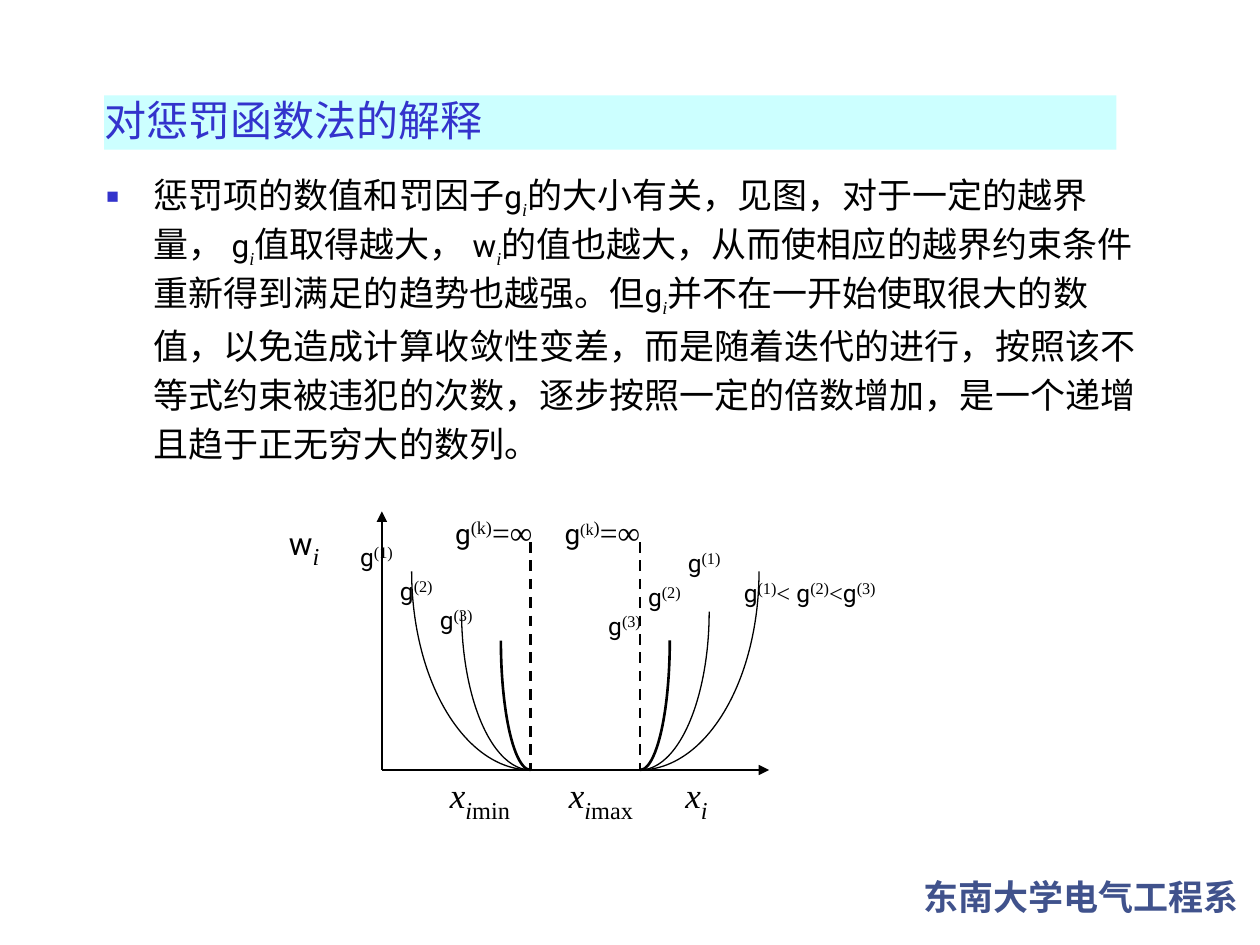
from collections import namedtuple
from dataclasses import dataclass

from lxml.etree import SubElement
from pptx import Presentation
from pptx.dml.color import RGBColor
from pptx.enum.dml import MSO_LINE
from pptx.enum.shapes import MSO_CONNECTOR, MSO_SHAPE
from pptx.enum.text import MSO_ANCHOR, PP_ALIGN
from pptx.oxml.ns import qn
from pptx.util import Pt

Box = namedtuple("Box", "left top width height")
Piece = namedtuple("Piece", "text size font italic baseline", defaults=(False, 0))


@dataclass(frozen=True)
class Theme:
    ink: str = "000000"
    accent: str = "3333CC"
    band: str = "CCFFFF"
    department: str = "40528C"
    serif: str = "Times New Roman"
    symbol: str = "Roboto"
    chinese: str = "Noto Sans CJK SC"
    footer: str = "Lato"
    title_size: int = 24
    body_size: int = 20
    symbol_size: int = 18
    axis_size: int = 24
    limit_size: int = 16
    curve_size: int = 14


THEME = Theme()


def rgb(colour):
    return RGBColor.from_string(colour)


def place(shape, box):
    shape.left, shape.top, shape.width, shape.height = map(Pt, box)


def style(font, face, size, colour=THEME.ink):
    font.name, font.size = face, Pt(size)
    font.color.rgb = rgb(colour)


def add_pieces(paragraph, pieces):
    for piece in pieces:
        run = paragraph.add_run()
        run.text = piece.text
        style(run.font, piece.font, piece.size)
        run.font.italic = piece.italic
        properties = run._r.get_or_add_rPr()
        if piece.baseline:
            properties.set("baseline", str(piece.baseline * 1000))
        SubElement(properties, qn("a:ea"), typeface=THEME.chinese)


def add_paragraph_box(slide, box, space_before):
    frame = slide.shapes.add_textbox(*map(Pt, box)).text_frame
    frame.word_wrap = True
    paragraph = frame.paragraphs[0]
    paragraph.space_before = Pt(space_before)
    return paragraph


def add_title(slide, box):
    band = slide.shapes.add_shape(
        MSO_SHAPE.RECTANGLE,
        *map(Pt, (box.left + 7, box.top + 5.5, box.width - 35, box.height - 6.5)))
    band.shadow.inherit = False
    band.fill.solid()
    band.fill.fore_color.rgb = rgb(THEME.band)
    band.line.fill.background()

    title = slide.shapes.title
    place(title, box)
    # Bring the heading in front of its band
    band._element.addnext(title._element)
    frame = title.text_frame
    frame.text = "对惩罚函数法的解释"
    frame.vertical_anchor = MSO_ANCHOR.BOTTOM
    heading = frame.paragraphs[0]
    heading.alignment = PP_ALIGN.LEFT
    style(heading.font, THEME.chinese, THEME.title_size, THEME.accent)


def add_bullet(paragraph, indent):
    properties = paragraph._p.get_or_add_pPr()
    properties.set("marL", str(Pt(indent)))
    properties.set("indent", str(-Pt(indent)))
    properties.set("hangingPunct", "0")
    colour = SubElement(properties, qn("a:buClr"))
    SubElement(colour, qn("a:srgbClr"), val=THEME.accent)
    SubElement(properties, qn("a:buSzPct"), val="60000")
    SubElement(properties, qn("a:buFont"), typeface=THEME.serif)
    SubElement(properties, qn("a:buChar"), char="■")


def add_body(slide, box):
    def prose(text):
        return Piece(text, THEME.body_size, THEME.serif)

    def indexed(letter):
        return [Piece(letter, THEME.symbol_size, THEME.symbol),
                Piece("i", THEME.symbol_size, THEME.serif, True, -25)]

    explanation = add_paragraph_box(slide, box, 12)
    explanation.line_spacing = Pt(28)
    add_bullet(explanation, 27)
    add_pieces(explanation, [
        prose("惩罚项的数值和罚因子"), *indexed("g"),
        prose("的大小有关，见图，对于一定的越界量， "), *indexed("g"),
        prose("值取得越大， "), *indexed("w"),
        prose("的值也越大，从而使相应的越界约束条件重新得到满足的趋势也越强。但"),
        *indexed("g"),
        prose("并不在一开始使取很大的数值，以免造成计算收敛性变差，而是随着迭代的进行，"
              "按照该不等式约束被违犯的次数，逐步按照一定的倍数增加，"
              "是一个递增且趋于正无穷大的数列。"),
    ])


def add_line(slide, start, end, arrow=False, dashed=False):
    line = slide.shapes.add_connector(MSO_CONNECTOR.STRAIGHT, *map(Pt, start + end))
    line.line.color.rgb = rgb(THEME.ink)
    line.line.width = Pt(1.5)
    if dashed:
        line.line.dash_style = MSO_LINE.DASH
    if arrow:
        SubElement(line.line._get_or_add_ln(), qn("a:tailEnd"), type="triangle")
    SubElement(line._element.spPr, qn("a:effectLst"))


def add_curve(slide, foot, radii, weight, angles):
    """Quarter ellipse that rises from its foot."""
    (x, y), (rx, ry) = foot, radii
    curve = slide.shapes.add_shape(
        MSO_SHAPE.ARC, *map(Pt, (x - rx, y - 2 * ry, 2 * rx, 2 * ry)))
    for index, degrees in enumerate(angles):
        curve.adjustments[index] = degrees * 0.6  # 60000 units a degree, scaled by 100000
    curve.shadow.inherit = False
    curve.fill.background()
    curve.line.color.rgb = rgb(THEME.ink)
    curve.line.width = Pt(weight)


def add_penalty_plot(slide, box):
    def at(x, y):
        return box.left + x, box.top + y

    def label(x, y, pieces, space_before, width=88, height=27):
        paragraph = add_paragraph_box(slide, Box(*at(x, y), width, height), space_before)
        add_pieces(paragraph, pieces)

    def factor(step):
        return [Piece("g", THEME.curve_size, THEME.symbol),
                Piece(f"({step})", THEME.curve_size + 2, THEME.serif, False, 30)]

    axis, lower, upper, base = 60.25, 145.25, 207.75, box.height
    add_line(slide, at(axis, base), at(axis, 3.5), arrow=True)
    add_line(slide, at(axis, base), at(box.width, base), arrow=True)
    for limit, angles in ((upper, (0, 90)), (lower, (90, 180))):
        add_line(slide, at(limit, 21), at(limit, base), dashed=True)
        for radii, weight in (((17, 74), 1.5), ((39.5, 90.5), 0.75), ((68, 113.5), 0.75)):
            add_curve(slide, at(limit, base), radii, weight, angles)

    label(0, 1, [Piece("w", THEME.symbol_size, THEME.symbol),
                 Piece("i", THEME.axis_size, THEME.serif, True, -25)], 6, height=40)
    for x, bound in ((92, "min"), (160, "max"), (226.5, "")):
        name = [Piece("x", THEME.body_size, THEME.serif, True),
                Piece("i", THEME.axis_size, THEME.serif, True, -25)]
        if bound:
            name.append(Piece(bound, THEME.axis_size, THEME.serif, False, -25))
        label(x, 145.75, name, 6, width=104, height=40)

    large = THEME.limit_size + 2
    for x, k_size in ((95, large), (157.5, THEME.limit_size)):
        label(x, 0.75, [Piece("g", THEME.limit_size, THEME.symbol),
                        Piece("(k", k_size, THEME.serif, False, 30),
                        Piece(")", large, THEME.serif, False, 30),
                        Piece("=∞", large, THEME.serif)], 4.5, width=112, height=29)

    for x, y, step in ((40.75, 15.5, 22.75), (228, 19, -22.75)):
        for index, drop in enumerate((0, 19.5, 36)):
            label(x + index * step, y + drop, factor(index + 1), 4)
    less, less_spaced = (Piece(sign, THEME.curve_size, THEME.serif)
                         for sign in ("<", "< "))
    label(260, 36, [*factor(1), less_spaced, *factor(2), less, *factor(3)], 4, width=147)


def add_department(slide, box):
    department = add_paragraph_box(slide, box, 12.5)
    department.text = "东南大学电气工程系"
    department.alignment = PP_ALIGN.CENTER
    style(department.font, THEME.footer, THEME.body_size, THEME.department)
    department.font.bold = True


def main():
    deck = Presentation()
    deck.slide_width, deck.slide_height = Pt(720), Pt(540)
    slide = deck.slides.add_slide(deck.slide_layouts[5])
    add_department(slide, Box(515.5, 497, 204.5, 32))
    add_title(slide, Box(52.5, 49, 613.5, 37.5))
    add_body(slide, Box(53.75, 94, 612, 181.5))
    add_penalty_plot(slide, Box(158, 288.75, 281.5, 151.25))
    deck.save("out.pptx")


if __name__ == "__main__":
    main()
